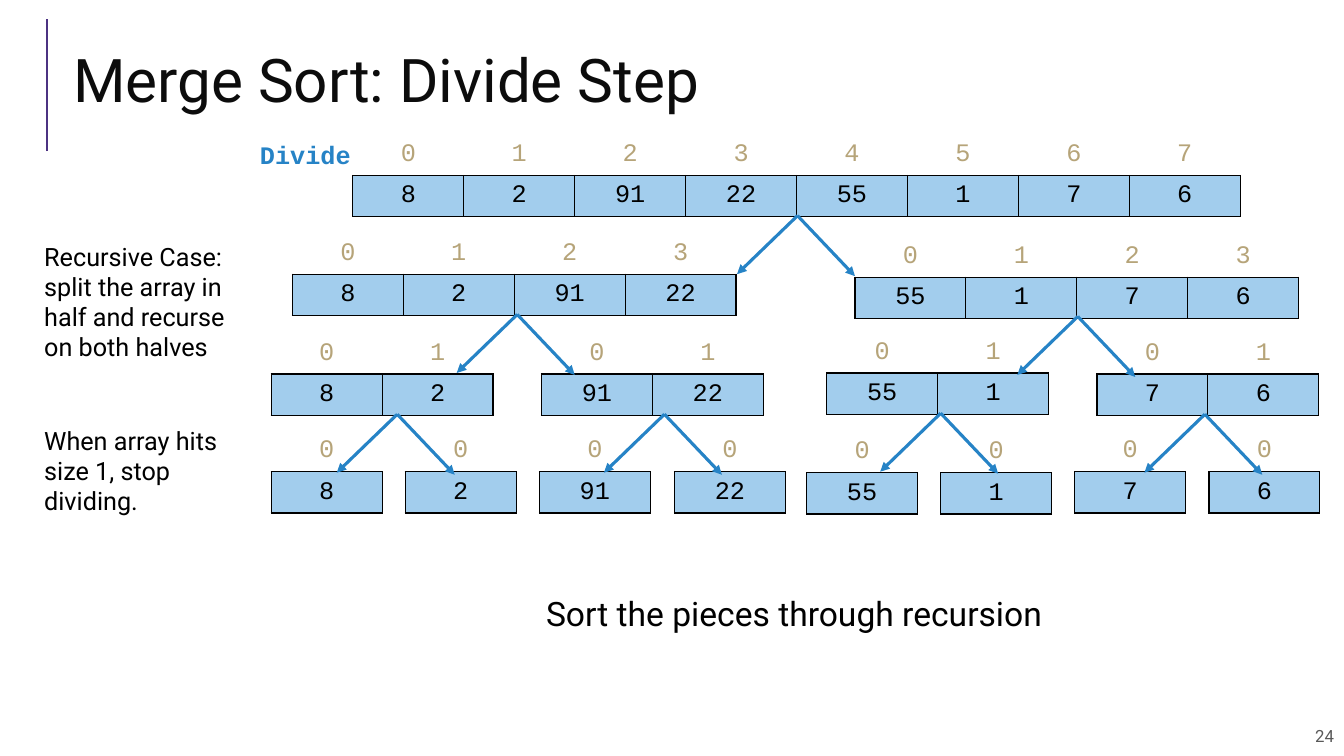
from pptx import Presentation
from pptx import util as u
from pptx.dml.color import RGBColor
from pptx.enum import shapes, text
from pptx.oxml import xmlchemy as xml

BLACK, WHITE, BLUE = "000000", "FFFFFF", "2683C6"
CELL, TAN, PURPLE = "A2CDED", "B6A479", "4C3282"
SANS, MONO = "Roboto", "Courier New"
LEFT, MID, RIGHT = text.PP_ALIGN.LEFT, text.PP_ALIGN.CENTER, text.PP_ALIGN.RIGHT
TOP, CENTER = text.MSO_ANCHOR.TOP, text.MSO_ANCHOR.MIDDLE
WIDE, HIGH = 1.1, 0.41

VALUES = [8, 2, 91, 22, 55, 1, 7, 6]
LEVELS = [
    [(3.5, 1.33)],
    [(2.9, 2.31), (8.48, 2.34)],
    [(2.69, 3.3), (5.37, 3.3), (8.2, 3.29), (10.88, 3.3)],
    [(2.69, 4.27), (4.02, 4.27), (5.35, 4.27), (6.69, 4.27),
     (8, 4.28), (9.33, 4.28), (10.66, 4.27), (11.99, 4.27)],
]
FORKS = [(7.91, 2.14), (5.13, 3.12), (10.69, 3.14),
         (3.94, 4.11), (6.59, 4.11), (9.33, 4.1), (11.95, 4.11)]


def color(code):
    return RGBColor.from_string(code)


class Deck:
    """Draws styled elements on the current slide."""

    def __init__(self):
        self.prs = Presentation()
        self.prs.slide_width = u.Inches(13.33)
        self.prs.slide_height = u.Inches(7.5)
        self.slide = self.prs.slides.add_slide(self.prs.slide_layouts[6])

    def put(self, para, words, size, ink, font=SANS, bold=False, align=LEFT):
        para.alignment = align
        run = para.add_run()
        run.text = words
        run.font.size = u.Pt(size)
        run.font.name = font
        run.font.bold = bold
        run.font.color.rgb = color(ink)

    def label(self, x, y, w, h, words, size, ink=BLACK, anchor=TOP, space=None, **style):
        box = self.slide.shapes.add_textbox(*map(u.Inches, (x, y, w, h)))
        frame = box.text_frame
        frame.word_wrap = True
        frame.vertical_anchor = anchor
        para = frame.paragraphs[0]
        if space:
            para.line_spacing = space
        self.put(para, words, size, ink, **style)

    def line(self, x, y, x2, y2, ink, width, arrow=False):
        line = self.slide.shapes.add_connector(
            shapes.MSO_CONNECTOR.STRAIGHT, *map(u.Inches, (x, y, x2, y2)))
        line.line.color.rgb = color(ink)
        line.line.width = u.Pt(width)
        if arrow:
            tail = xml.OxmlElement("a:tailEnd")
            tail.set("type", "triangle")
            line.get_or_add_ln().append(tail)
        line._element.spPr.append(xml.OxmlElement("a:effectLst"))

    def edge(self, cell, side, ink):
        line = xml.OxmlElement(f"a:ln{side}")
        line.set("w", str(u.Pt(1)))
        fill = xml.OxmlElement("a:solidFill")
        tint = xml.OxmlElement("a:srgbClr")
        tint.set("val", ink)
        fill.append(tint)
        line.append(fill)
        cell._tc.get_or_add_tcPr().append(line)

    def array(self, x, y, values):
        count = len(values)
        table = self.slide.shapes.add_table(
            2, count, *map(u.Inches, (x, y, count * WIDE, 2 * HIGH))).table
        table.first_row = table.horz_banding = False
        for col in table.columns:
            col.width = u.Inches(WIDE)
        rows = [(range(count), TAN, WHITE, WHITE), (values, BLACK, CELL, BLACK)]
        for r, (items, ink, fill, rim) in enumerate(rows):
            table.rows[r].height = u.Inches(HIGH)
            for c, item in enumerate(items):
                cell = table.cell(r, c)
                for side in "LRT":
                    self.edge(cell, side, rim)
                self.edge(cell, "B", BLACK)
                cell.fill.solid()
                cell.fill.fore_color.rgb = color(fill)
                cell.vertical_anchor = CENTER
                self.put(cell.text_frame.paragraphs[0], str(item), 18, ink, MONO, align=MID)

    def fork(self, x, y):
        for dx, dy in [(-0.6, 0.58), (0.57, 0.6)]:
            self.line(x, y, x + dx, y + dy, BLUE, 2.25, arrow=True)


def main():
    deck = Deck()
    deck.line(0.47, 1.5, 0.47, 0.19, PURPLE, 1.5)
    deck.label(8.65, 7.1, 4.68, 0.4, "24", 12, "595959", CENTER, align=RIGHT)
    deck.label(0.63, 0.29, 12.23, 1.11, "Merge Sort: Divide Step", 43, "0C0C0C", CENTER, 0.8)
    for level in LEVELS:
        size = len(VALUES) // len(level)
        for i, (x, y) in enumerate(level):
            deck.array(x, y, VALUES[i * size:(i + 1) * size])
    for x, y in FORKS:
        deck.fork(x, y)
    deck.label(2.48, 1.33, 1.1, 0.4, "Divide", 18, BLUE, font=MONO, bold=True)
    deck.label(0.34, 2.34, 2.27, 1.31,
               "Recursive Case: split the array in half and recurse on both halves", 18)
    deck.label(0.34, 4.17, 2.27, 1.01, "When array hits size 1, stop dividing.", 18)
    deck.label(3.55, 5.83, 8.65, 0.5, "Sort the pieces through recursion", 24, align=MID)
    deck.prs.save("out.pptx")


if __name__ == "__main__":
    main()
